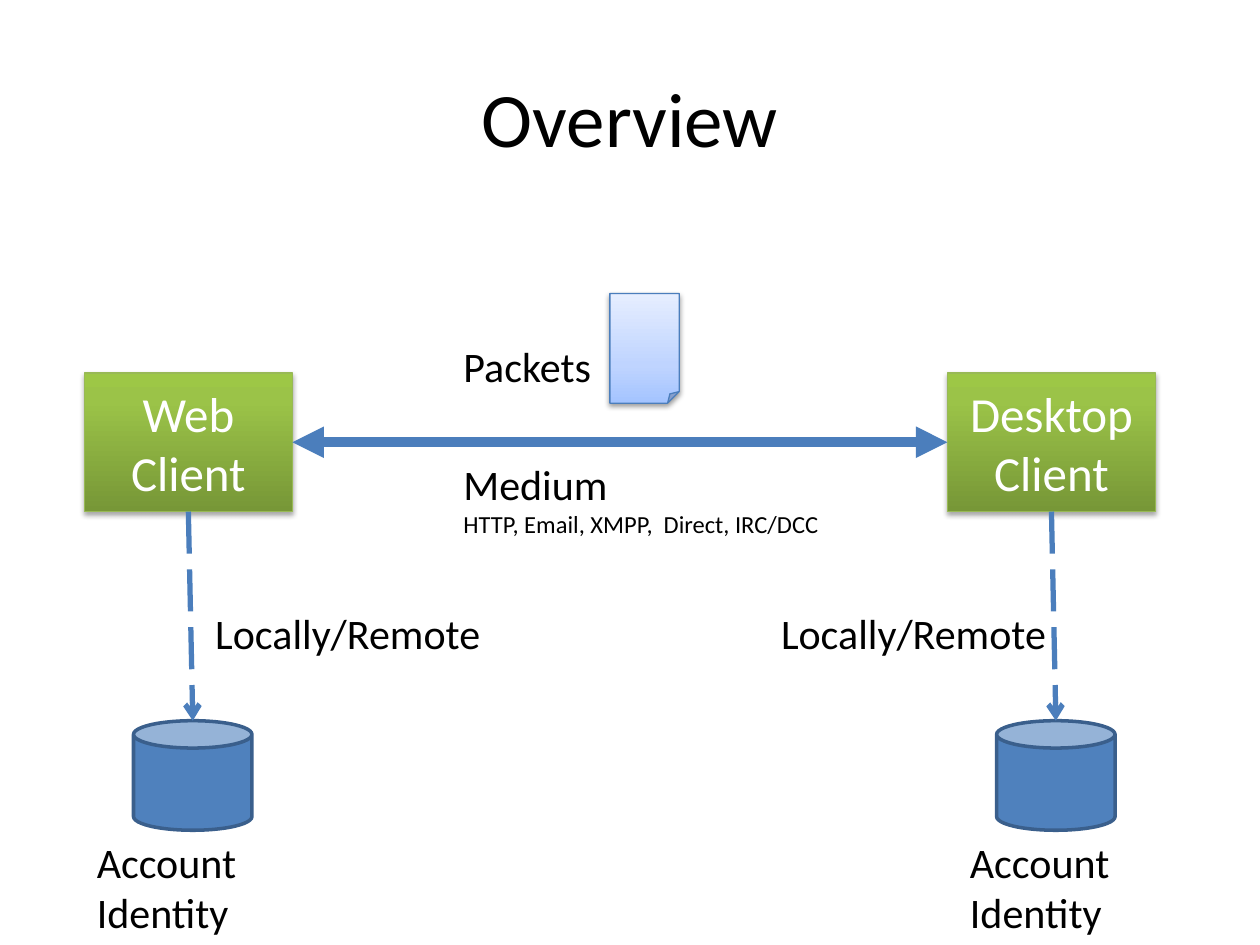
from dataclasses import dataclass
from typing import Optional

import pptx
import pptx.dml.color
import pptx.enum.dml
import pptx.enum.shapes
import pptx.enum.text
import pptx.oxml.ns
import pptx.util
from lxml import etree

Inches = pptx.util.Inches
Pt = pptx.util.Pt
Shape = pptx.enum.shapes.MSO_SHAPE
Align = pptx.enum.text.PP_ALIGN
Anchor = pptx.enum.text.MSO_ANCHOR
qn = pptx.oxml.ns.qn

FONT = "Calibri"
BLACK, WHITE, BLUE = "000000", "FFFFFF", "4B7EBC"


@dataclass
class Gradient:
    stops: list[tuple[int, str]]
    shadow_alpha: int
    shadow_distance: float


@dataclass
class Label:
    left: float
    top: float
    width: float
    height: float
    lines: list[tuple[str, int]]


@dataclass
class Client:
    name: str
    left: float
    store_text_left: float
    link_text_left: float
    link_text_width: float


GREEN_GRADIENT = Gradient([(0, "779737"), (80, "9BC348"), (100, "9DC746")], 35, 1.8)
PAPER_GRADIENT = Gradient([(0, "A4C4FF"), (35, "BFD4FF"), (100, "E6EEFF")], 38, 1.6)

CLIENTS = [
    Client("Web Client", 0.67, 0.67, 1.61, 2.68),
    Client("Desktop Client", 7.52, 7.6, 6.1, 2.52),
]
CLIENT_TOP, CLIENT_WIDTH, CLIENT_HEIGHT = 2.96, 1.65, 1.1
STORE_TOP, STORE_WIDTH, STORE_HEIGHT = 5.72, 0.94, 0.87

LABELS = [
    Label(3.58, 2.65, 1.67, 0.5, [("Packets", 24)]),
    Label(3.58, 3.59, 3.17, 1.18,
          [("Medium", 24), ("HTTP, Email, XMPP,  Direct, IRC/DCC", 14)]),
]


def color(value: str):
    return pptx.dml.color.RGBColor.from_string(value)


def add_element(parent, tag: str, **attributes):
    return etree.SubElement(parent, qn(tag), attributes)


def write_text(box, lines, text_color=BLACK, align=Align.LEFT, anchor=Anchor.TOP):
    frame = box.text_frame
    frame.word_wrap = True
    frame.vertical_anchor = anchor
    for index, (text, size) in enumerate(lines):
        para = frame.paragraphs[0] if index == 0 else frame.add_paragraph()
        para.alignment = align
        span = para.add_run()
        span.text = text
        for name, value in {"name": FONT, "size": Pt(size)}.items():
            setattr(span.font, name, value)
        span.font.color.rgb = color(text_color)


def add_label(page, label: Label, **format_values):
    box = page.shapes.add_textbox(*map(
        Inches, (label.left, label.top, label.width, label.height)))
    write_text(box, label.lines, **format_values)


def add_shape(page, kind, place, line_color: str, line_width: float):
    shape = page.shapes.add_shape(kind, *map(Inches, place))
    shape.shadow.inherit = False
    shape.line.color.rgb = color(line_color)
    shape.line.width = Pt(line_width)
    return shape


def apply_gradient(shape, gradient: Gradient):
    shape.fill.gradient()
    shape.fill.gradient_angle = 90
    properties = shape.element.spPr
    stop_list = properties.find(".//" + qn("a:gsLst"))
    for stop in list(stop_list):
        stop_list.remove(stop)
    for position, value in gradient.stops:
        stop = add_element(stop_list, "a:gs", pos=str(position * 1000))
        add_element(stop, "a:srgbClr", val=value)
    shadow = add_element(
        properties.find(qn("a:effectLst")), "a:outerShdw",
        blurRad=str(Pt(3.1)), dist=str(Pt(gradient.shadow_distance)),
        dir="5400000", rotWithShape="0")
    shade = add_element(shadow, "a:srgbClr", val=BLACK)
    add_element(shade, "a:alpha", val=str(gradient.shadow_alpha * 1000))


def add_arrow(page, start, end, width: float, ends: dict[str, str], dash=None):
    arrow = page.shapes.add_connector(
        pptx.enum.shapes.MSO_CONNECTOR.STRAIGHT, *map(Inches, (*start, *end)))
    arrow.line.color.rgb = color(BLUE)
    for name, value in {"width": Pt(width), "dash_style": dash}.items():
        setattr(arrow.line, name, value)
    for tag, kind in ends.items():
        add_element(arrow.line._get_or_add_ln(), tag, type=kind)
    add_element(arrow.element.spPr, "a:effectLst")


def add_client(page, client: Client):
    # Client box
    box = add_shape(page, Shape.RECTANGLE,
                    (client.left, CLIENT_TOP, CLIENT_WIDTH, CLIENT_HEIGHT), "98B955", 0.75)
    apply_gradient(box, GREEN_GRADIENT)
    write_text(box, [(client.name, 28)], WHITE, Align.CENTER, Anchor.MIDDLE)

    # Account store
    store_left = client.left + 0.39
    store = add_shape(page, Shape.CAN,
                      (store_left, STORE_TOP, STORE_WIDTH, STORE_HEIGHT), "3A5F8C", 2)
    store.fill.solid()
    store.fill.fore_color.rgb = color("4F81BD")
    add_label(page, Label(client.store_text_left, STORE_TOP + STORE_HEIGHT, 1.67, 0.91,
                          [("Account", 24), ("Identity", 24)]))

    # Link from client to store
    add_arrow(page, (client.left + CLIENT_WIDTH / 2, CLIENT_TOP + CLIENT_HEIGHT),
              (store_left + STORE_WIDTH / 2, STORE_TOP), 3, {"a:tailEnd": "arrow"},
              pptx.enum.dml.MSO_LINE.LONG_DASH)
    add_label(page, Label(client.link_text_left, 4.77, client.link_text_width, 0.91,
                          [("Locally/Remote", 24)]))


def build():
    deck = pptx.Presentation()
    deck.slide_width, deck.slide_height = Inches(10), Inches(7.5)
    page = deck.slides.add_slide(deck.slide_layouts[6])

    # Title
    add_label(page, Label(0.5, 0.3, 9, 1.25, [("Overview", 44)]),
              align=Align.CENTER, anchor=Anchor.MIDDLE)

    # Clients with their stores
    for client in CLIENTS:
        add_client(page, client)

    # Medium between the clients
    web, desktop = CLIENTS
    middle = CLIENT_TOP + CLIENT_HEIGHT / 2
    add_arrow(page, (web.left + CLIENT_WIDTH, middle), (desktop.left, middle), 6,
              {"a:headEnd": "triangle", "a:tailEnd": "triangle"})
    for label in LABELS:
        add_label(page, label)

    # Packet
    packet = add_shape(page, Shape.FOLDED_CORNER, (4.84, 2.33, 0.55, 0.87), BLUE, 0.75)
    apply_gradient(packet, PAPER_GRADIENT)

    deck.save("out.pptx")


build()
